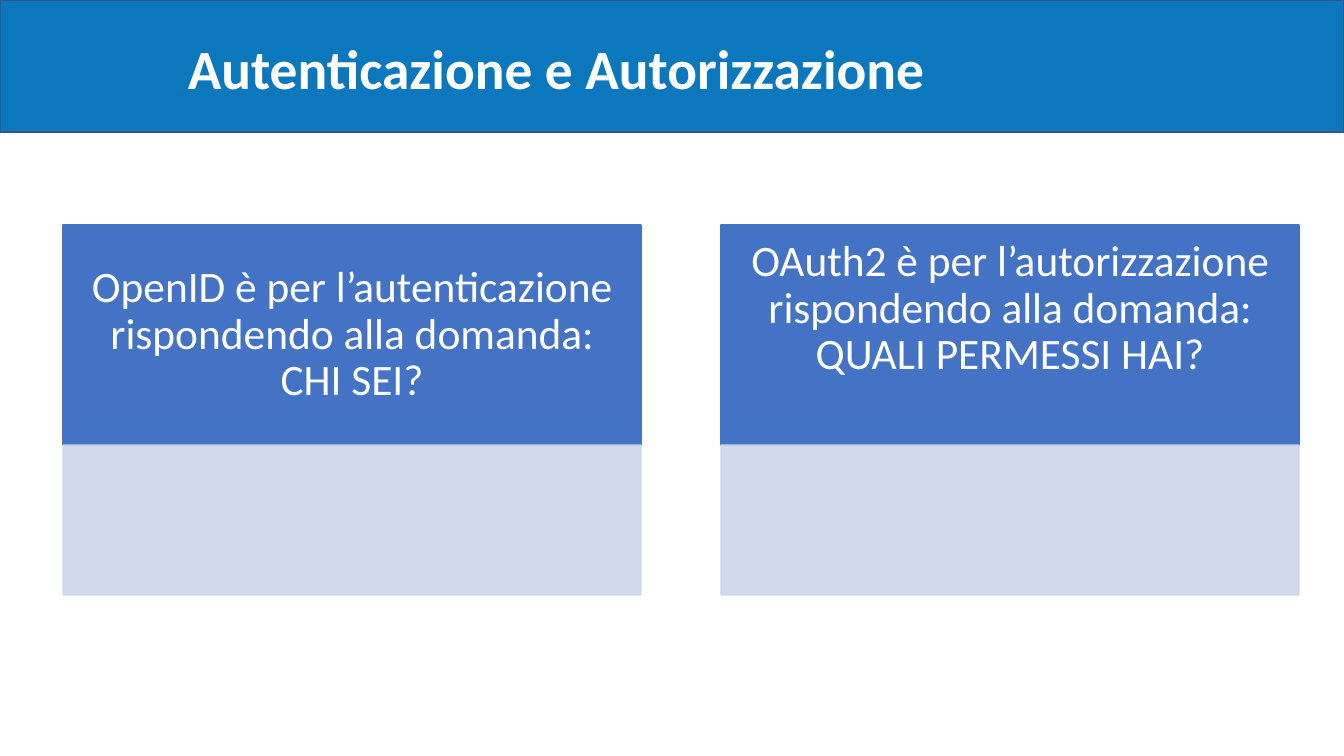
"""Build the slide that compares authentication and authorization."""
from dataclasses import dataclass

from lxml import etree
from pptx import Presentation
from pptx.dml.color import RGBColor
from pptx.enum.shapes import MSO_SHAPE
from pptx.enum.text import MSO_ANCHOR, PP_ALIGN
from pptx.oxml.ns import qn
from pptx.util import Pt

RECT = MSO_SHAPE.RECTANGLE
MIDDLE = MSO_ANCHOR.MIDDLE
LEFT, CENTER = PP_ALIGN.LEFT, PP_ALIGN.CENTER
SCALE = 12192000 / 1344


@dataclass(frozen=True)
class Theme:
    """Colours, font and type sizes."""
    band: str = "0B78BD"
    edge: str = "325491"
    head: str = "4472C4"
    body: str = "CFD5EA"
    text: str = "FFFFFF"
    font: str = "Calibri"
    title: float = 39.6
    label: float = 31


def px(size):
    """Turn px into EMU."""
    return round(size * SCALE)


class Deck:
    """Hold the theme and the current slide."""

    def __init__(self, theme):
        """Open a file with one blank slide."""
        self.theme = theme
        self.file = Presentation()
        self.file.slide_width, self.file.slide_height = px(1344), px(756)
        self.slide = self.file.slides.add_slide(self.file.slide_layouts[6])

    def block(self, box, fill, edge, alpha=100):
        """Draw a filled rectangle with a thin line."""
        shape = self.slide.shapes.add_shape(RECT, *map(px, box))
        shape.shadow.inherit = False
        shape.fill.solid()
        shape.fill.fore_color.rgb = RGBColor.from_string(fill)
        shape.line.color.rgb = RGBColor.from_string(edge)
        shape.line.width = Pt(1)
        if alpha < 100:
            for tone in shape._element.spPr.iter(qn("a:srgbClr")):
                etree.SubElement(tone, qn("a:alpha"), val=str(alpha * 1000))
        return shape

    def label(self, shape, text, size, align, pads, bold=False):
        """Set the text of a shape."""
        frame = shape.text_frame
        frame.word_wrap = True
        frame.vertical_anchor = MIDDLE
        (frame.margin_left, frame.margin_top,
         frame.margin_right, frame.margin_bottom) = map(px, pads)
        line = frame.paragraphs[0]
        line.text = text
        line.alignment = align
        line.line_spacing = 0.9
        font = line.font
        font.name, font.size, font.bold = self.theme.font, Pt(size), bold
        font.color.rgb = RGBColor.from_string(self.theme.text)

    def title(self, text):
        """Draw the top band and its title."""
        self.block((0, 0, 1344, 132), self.theme.band, self.theme.edge)
        box = self.slide.shapes.add_textbox(*map(px, (178, 35, 1120, 73)))
        self.label(box, text, self.theme.title, LEFT, (10, 5, 10, 5), True)

    def card(self, left, text, base):
        """Draw a labelled head over a pale body."""
        tone = self.theme
        head = self.block((left, 225, 578, 220), tone.head, tone.head)
        self.label(head, text, tone.label, CENTER, (24, 14, 24, base))
        self.block((left, 445, 578, 150), tone.body, tone.body, 90)


def main():
    """Build and save the slide."""
    deck = Deck(Theme())
    deck.title("Autenticazione e Autorizzazione")
    cards = (
        ("OpenID è per l’autenticazione rispondendo alla domanda: CHI SEI?", 14),
        ("OAuth2 è per l’autorizzazione rispondendo alla domanda: "
         "QUALI PERMESSI HAI?", 66),
    )
    for col, (text, base) in enumerate(cards):
        deck.card(63 + 658 * col, text, base)
    deck.file.save("out.pptx")


if __name__ == "__main__":
    main()
